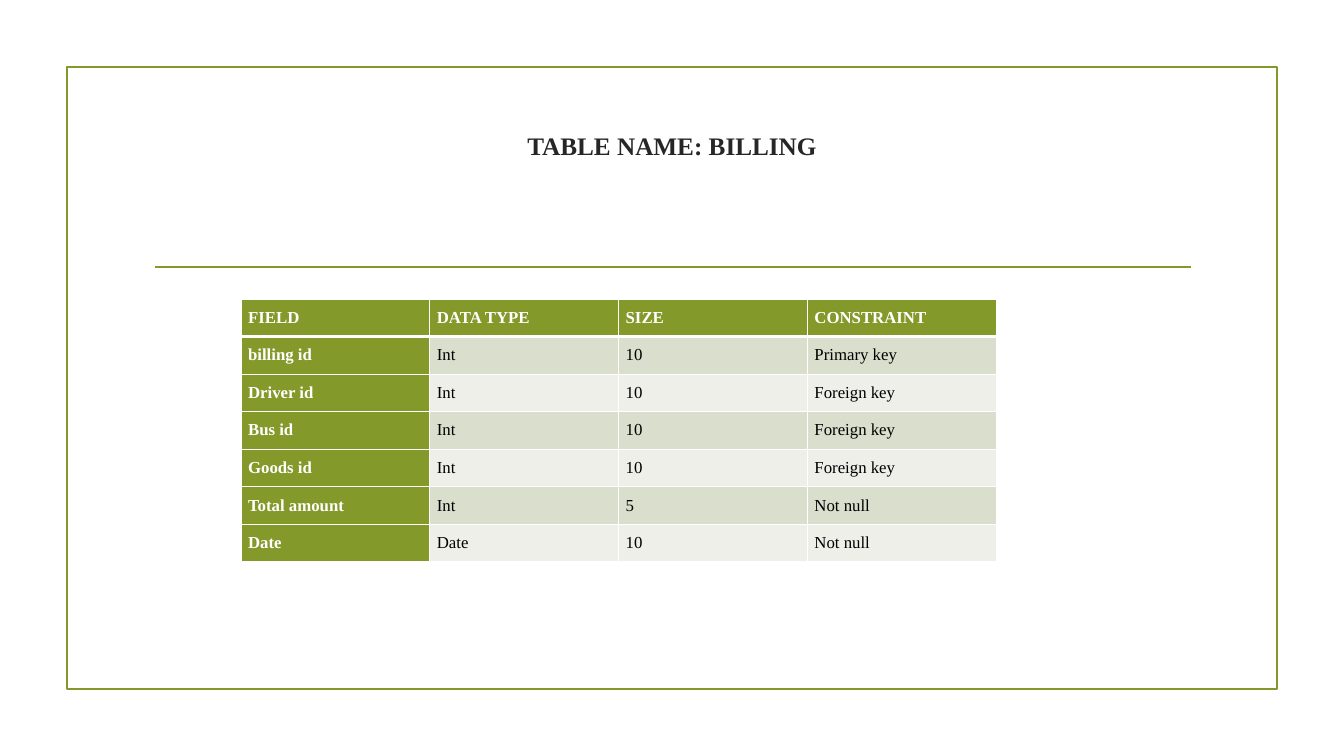
import lxml.etree
import pptx
import pptx.dml.color
import pptx.enum.shapes
import pptx.enum.text
import pptx.oxml.ns
import pptx.util

GREEN, WHITE, BLACK, TITLE_GREY = "83992A", "FFFFFF", "000000", "262626"
BANDS = ("D9DECD", "EDEFE8")
FIELDS = [
    ("FIELD", "DATA TYPE", "SIZE", "CONSTRAINT"),
    ("billing id", "Int", "10", "Primary key"),
    ("Driver id", "Int", "10", "Foreign key"),
    ("Bus id", "Int", "10", "Foreign key"),
    ("Goods id", "Int", "10", "Foreign key"),
    ("Total amount", "Int", "5", "Not null"),
    ("Date", "Date", "10", "Not null"),
]


def rgb(value):
    return pptx.dml.color.RGBColor.from_string(value)


class SlideBuilder:
    """Places elements on a grid of 160 columns by 90 rows."""

    font = "Times New Roman"
    line_width = pptx.util.Pt(1.25)

    def __init__(self, deck):
        self.column = deck.slide_width / 160
        self.row = deck.slide_height / 90
        self.slide = deck.slides.add_slide(deck.slide_layouts[6])

    def grid(self, *lengths):
        """Turn alternating column and row counts into lengths."""
        units = (self.column, self.row)
        return [round(length * units[i % 2]) for i, length in enumerate(lengths)]

    def add_run(self, paragraph, text, size, color, bold):
        run = paragraph.add_run()
        run.text = text
        run.font.name = self.font
        run.font.size = pptx.util.Pt(size)
        run.font.bold = bold
        run.font.color.rgb = rgb(color)

    def frame(self, *area):
        border = self.slide.shapes.add_shape(
            pptx.enum.shapes.MSO_SHAPE.RECTANGLE, *self.grid(*area))
        border.shadow.inherit = False
        border.fill.background()
        border.line.color.rgb = rgb(GREEN)
        border.line.width = self.line_width

    def rule(self, *ends):
        divider = self.slide.shapes.add_connector(
            pptx.enum.shapes.MSO_CONNECTOR.STRAIGHT, *self.grid(*ends))
        divider.line.color.rgb = rgb(GREEN)
        divider.line.width = self.line_width
        properties = divider.element.spPr
        lxml.etree.SubElement(properties, pptx.oxml.ns.qn("a:effectLst"))

    def title(self, text, *area):
        """Centre a heading in the upper half of its box."""
        heading = self.slide.shapes.add_textbox(*self.grid(*area)).text_frame
        heading.word_wrap = True
        heading.vertical_anchor = pptx.enum.text.MSO_ANCHOR.MIDDLE
        heading.margin_bottom = pptx.util.Inches(0.74)
        paragraph = heading.paragraphs[0]
        paragraph.alignment = pptx.enum.text.PP_ALIGN.CENTER
        self.add_run(paragraph, text, 18, TITLE_GREY, True)

    def cell_borders(self, cell, **widths):
        properties = cell._tc.get_or_add_tcPr()
        for side in "LRTB":
            edge = lxml.etree.SubElement(
                properties, pptx.oxml.ns.qn(f"a:ln{side}"),
                w=str(pptx.util.Pt(widths.get(side, 1))))
            fill = lxml.etree.SubElement(edge, pptx.oxml.ns.qn("a:solidFill"))
            lxml.etree.SubElement(fill, pptx.oxml.ns.qn("a:srgbClr"), val=WHITE)

    def table(self, records, *area):
        table = self.slide.shapes.add_table(
            len(records), len(records[0]), *self.grid(*area)).table
        table.first_col = True
        table.horz_banding = False
        for r, record in enumerate(records):
            for c, text in enumerate(record):
                cell = table.cell(r, c)
                heading = r == 0 or c == 0
                self.cell_borders(cell, T=3 if r == 1 else 1, B=3 if r == 0 else 1)
                cell.fill.solid()
                cell.fill.fore_color.rgb = rgb(GREEN if heading else BANDS[(r - 1) % 2])
                cell.margin_left = cell.margin_right = pptx.util.Inches(0.07)
                cell.margin_top = cell.margin_bottom = 0
                paragraph = cell.text_frame.paragraphs[0]
                paragraph.line_spacing = 1.5
                self.add_run(paragraph, text, 12, WHITE if heading else BLACK, heading)


def main():
    deck = pptx.Presentation()
    deck.slide_width = pptx.util.Inches(13.33)
    deck.slide_height = pptx.util.Inches(7.5)
    billing = SlideBuilder(deck)
    billing.frame(8, 8, 144, 74)
    billing.rule(18.4, 31.8, 141.8, 31.8)
    billing.title("TABLE NAME: BILLING", 17, 12.8, 126, 17.2)
    billing.table(FIELDS, 28.7, 35.6, 89.9, 31.3)
    deck.save("out.pptx")


if __name__ == "__main__":
    main()
